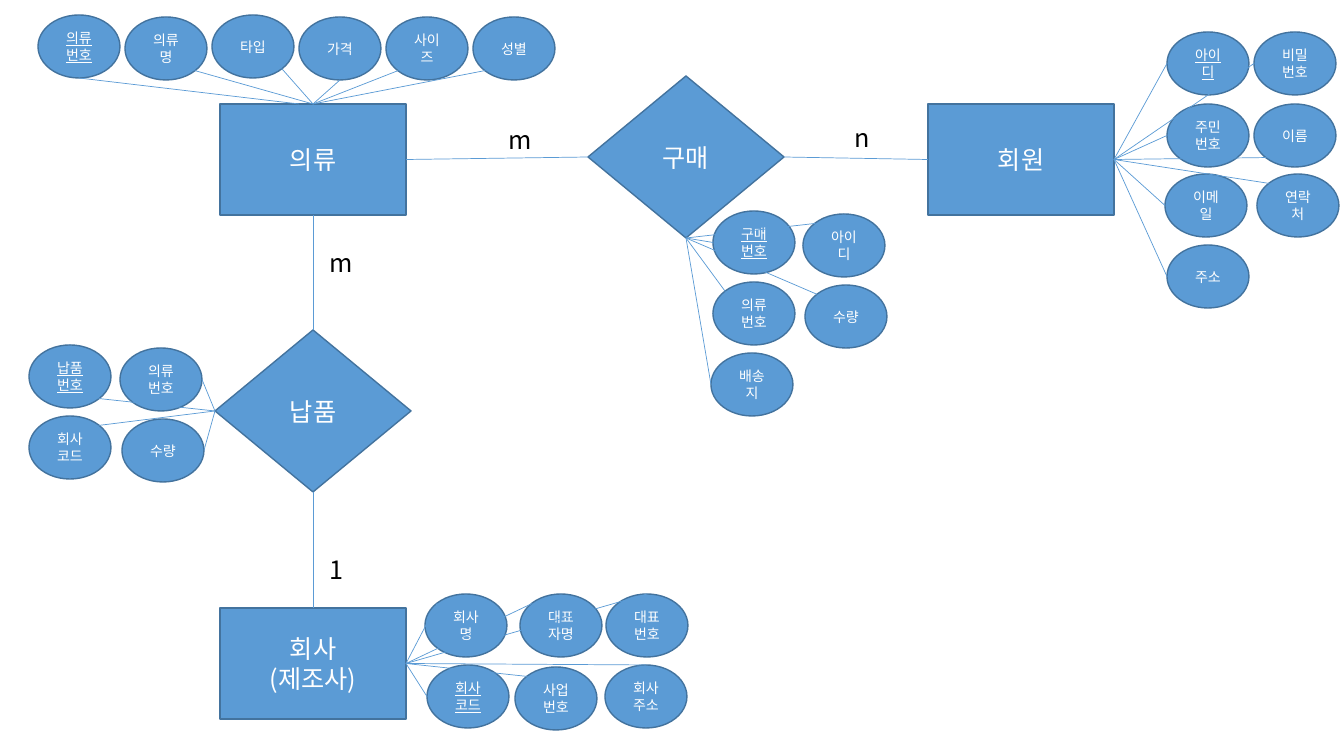
from dataclasses import dataclass

from lxml import etree
from pptx import Presentation
from pptx.dml.color import RGBColor
from pptx.enum.shapes import MSO_CONNECTOR, MSO_SHAPE
from pptx.enum.text import MSO_ANCHOR, MSO_AUTO_SIZE, PP_ALIGN
from pptx.oxml.ns import qn
from pptx.util import Emu, Pt

RECTANGLE, DIAMOND, OVAL = MSO_SHAPE.RECTANGLE, MSO_SHAPE.DIAMOND, MSO_SHAPE.OVAL
STRAIGHT = MSO_CONNECTOR.STRAIGHT
CENTER, LEFT = PP_ALIGN.CENTER, PP_ALIGN.LEFT
MIDDLE = MSO_ANCHOR.MIDDLE
FIT_SHAPE = MSO_AUTO_SIZE.SHAPE_TO_FIT_TEXT

BLUE = RGBColor(0x5B, 0x9B, 0xD5)
OUTLINE = RGBColor(0x43, 0x73, 0x9E)
WHITE = RGBColor(0xFF, 0xFF, 0xFF)
BLACK = RGBColor(0x00, 0x00, 0x00)
FONT = "Noto Sans CJK KR"

PIXELS_PER_INCH = 100.8
SLIDE_SIZE = (1344, 756)
ENTITY_SIZE = (186, 111)
RELATION_SIZE = (196, 162)
ATTRIBUTE_SIZE = (82, 63)
LABEL_HEIGHT = 40

# Connection sites as fractions of width and height
SITES = {
    "top": (0.5, 0), "bottom": (0.5, 1), "left": (0, 0.5), "right": (1, 0.5),
    "top left": (0.15, 0.15), "top right": (0.85, 0.15),
    "bottom left": (0.15, 0.85), "bottom right": (0.85, 0.85),
}


@dataclass
class Attribute:
    """An attribute oval and the site where its link ends."""
    name: str
    left: int
    top: int
    site: str
    is_key: bool = False
    start_shift: int = 0


# name: (text, preset, size, left, top)
NODES = {
    "의류": ("의류", RECTANGLE, ENTITY_SIZE, 220, 104),
    "회사": ("회사\n(제조사)", RECTANGLE, ENTITY_SIZE, 220, 608),
    "회원": ("회원", RECTANGLE, ENTITY_SIZE, 928, 104),
    "구매": ("구매", DIAMOND, RELATION_SIZE, 588, 76),
    "납품": ("납품", DIAMOND, RELATION_SIZE, 215, 330),
}
NODE_LINKS = [
    ("의류", "right", "구매", "left"),
    ("구매", "right", "회원", "left"),
    ("의류", "bottom", "납품", "top"),
    ("납품", "bottom", "회사", "top"),
]
# text, left, top, width, wrap
CARDINALITIES = [
    ("m", 499, 119, 42, False),
    ("n", 845, 117, 31, True),
    ("m", 320, 242, 42, False),
    ("1", 320, 549, 34, False),
]
CLOTHING_COLUMNS = [38 + 87 * column for column in range(6)]
# (owner, owner site): attributes
ATTRIBUTES = {
    ("의류", "top"): [
        Attribute("의류 번호", CLOTHING_COLUMNS[0], 15, "bottom", True, -14),
        Attribute("의류 명", CLOTHING_COLUMNS[1], 17, "bottom right"),
        Attribute("타입", CLOTHING_COLUMNS[2], 15, "bottom right"),
        Attribute("가격", CLOTHING_COLUMNS[3], 17, "bottom"),
        Attribute("사이즈", CLOTHING_COLUMNS[4], 17, "bottom left"),
        Attribute("성별", CLOTHING_COLUMNS[5], 17, "bottom left"),
    ],
    ("회원", "right"): [
        Attribute("아이디", 1167, 32, "left", True),
        Attribute("비밀번호", 1254, 32, "left"),
        Attribute("주민번호", 1167, 104, "left"),
        Attribute("이름", 1254, 104, "bottom left"),
        Attribute("이메일", 1165, 174, "left"),
        Attribute("연락처", 1257, 174, "top left"),
        Attribute("주소", 1167, 245, "left"),
    ],
    ("회사", "right"): [
        Attribute("회사명", 425, 594, "top left"),
        Attribute("대표자명", 520, 594, "top left"),
        Attribute("대표번호", 606, 594, "top"),
        Attribute("회사 코드", 427, 665, "left", True),
        Attribute("사업 번호", 515, 667, "top left"),
        Attribute("회사 주소", 605, 665, "top"),
    ],
    ("구매", "bottom"): [
        Attribute("구매 번호", 713, 211, "left", True),
        Attribute("아이디", 803, 214, "top left"),
        Attribute("의류 번호", 713, 282, "top left"),
        Attribute("수량", 805, 285, "top left"),
        Attribute("배송지", 711, 353, "left"),
    ],
    ("납품", "left"): [
        Attribute("납품\n번호", 29, 345, "bottom right", True),
        Attribute("의류 번호", 120, 348, "right"),
        Attribute("회사 코드", 29, 416, "top right"),
        Attribute("수량", 122, 419, "right"),
    ],
}


def pixels(length):
    """Turn a length in pixels into EMU."""
    return Emu(round(length * 914400 / PIXELS_PER_INCH))


def write_text(shape, text, size, color, alignment, underline=None):
    """Set the text of a shape and format every run."""
    shape.text_frame.text = text
    for paragraph in shape.text_frame.paragraphs:
        paragraph.alignment = alignment
        for run in paragraph.runs:
            font = run.font
            font.name, font.size, font.underline = FONT, Pt(size), underline
            font.color.rgb = color
            east_asian = etree.SubElement(run._r.get_or_add_rPr(), qn("a:ea"))
            east_asian.set("typeface", FONT)


def add_node(slide, preset, box, text, size, underline=None):
    """Add a blue shape with white centred text."""
    shape = slide.shapes.add_shape(preset, *map(pixels, box))
    shape.shadow.inherit = False
    shape.fill.solid()
    shape.fill.fore_color.rgb = BLUE
    shape.line.color.rgb = OUTLINE
    shape.line.width = Pt(1)
    shape.text_frame.vertical_anchor = MIDDLE
    write_text(shape, text, size, WHITE, CENTER, underline)
    return shape


def site_point(shape, site):
    """Return the position of a connection site in EMU."""
    across, down = SITES[site]
    return (Emu(round(shape.left + across * shape.width)),
            Emu(round(shape.top + down * shape.height)))


def add_link(slide, start, end):
    """Add a thin blue line between two points."""
    connector = slide.shapes.add_connector(STRAIGHT, *start, *end)
    connector.line.color.rgb = BLUE
    connector.line.width = Pt(0.5)
    etree.SubElement(connector._element.spPr, qn("a:effectLst"))


def add_cardinality(slide, text, left, top, width, wrap):
    """Add the label beside a link."""
    label = slide.shapes.add_textbox(*map(pixels, (left, top, width, LABEL_HEIGHT)))
    label.text_frame.word_wrap = wrap
    label.text_frame.auto_size = FIT_SHAPE
    write_text(label, text, 18, BLACK, LEFT)


presentation = Presentation()
presentation.slide_width, presentation.slide_height = map(pixels, SLIDE_SIZE)
slide = presentation.slides.add_slide(presentation.slide_layouts[6])

nodes = {
    name: add_node(slide, preset, (left, top, *size), text, 18)
    for name, (text, preset, size, left, top) in NODES.items()
}
for source, source_site, target, target_site in NODE_LINKS:
    add_link(slide, site_point(nodes[source], source_site),
             site_point(nodes[target], target_site))
for cardinality in CARDINALITIES:
    add_cardinality(slide, *cardinality)

attribute_links = []
for (owner, owner_site), attributes in ATTRIBUTES.items():
    start_x, start_y = site_point(nodes[owner], owner_site)
    for attribute in attributes:
        box = (attribute.left, attribute.top, *ATTRIBUTE_SIZE)
        oval = add_node(slide, OVAL, box, attribute.name, 10, attribute.is_key or None)
        start = (start_x + pixels(attribute.start_shift), start_y)
        attribute_links.append((start, site_point(oval, attribute.site)))
for start, end in attribute_links:
    add_link(slide, start, end)

presentation.save("out.pptx")
